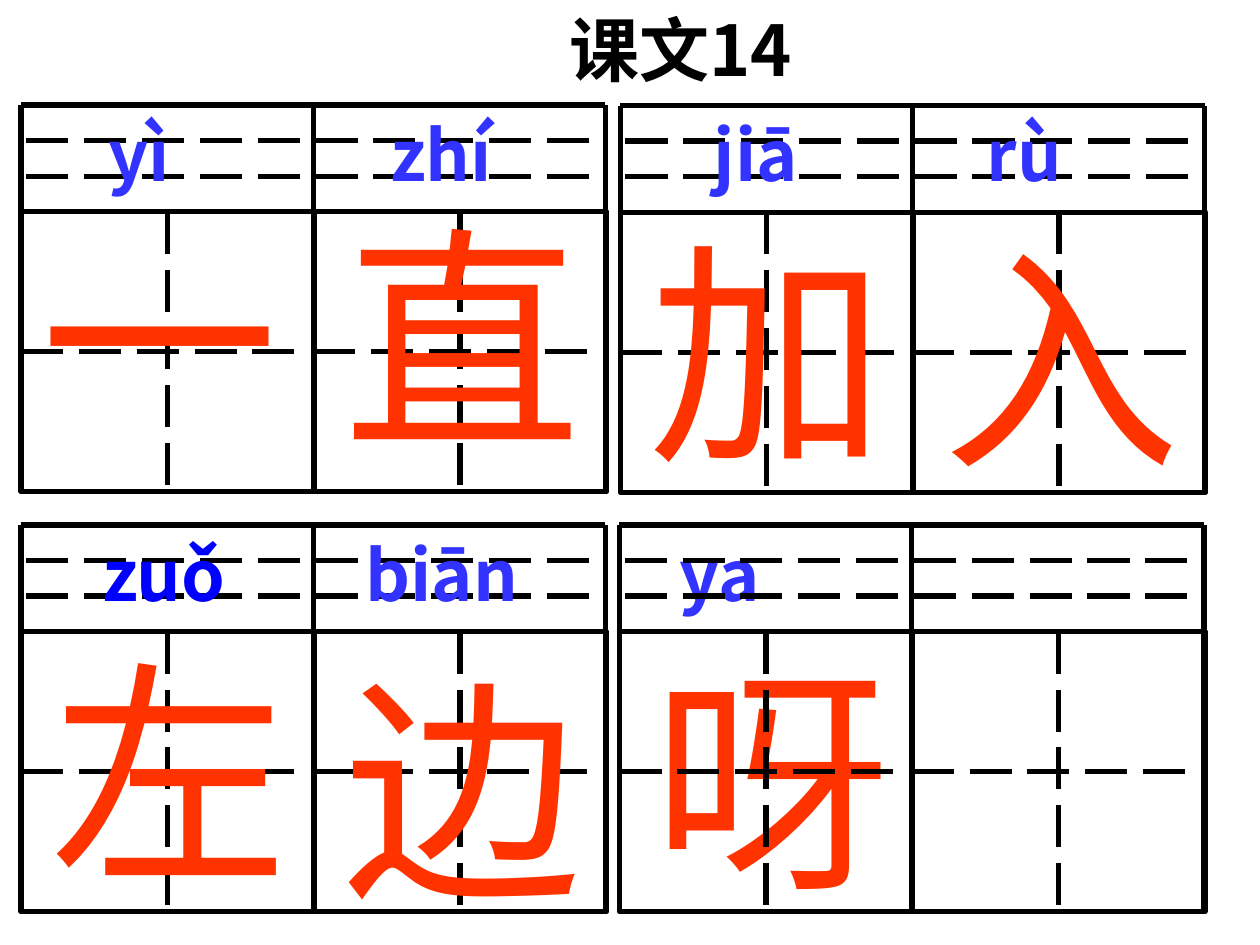
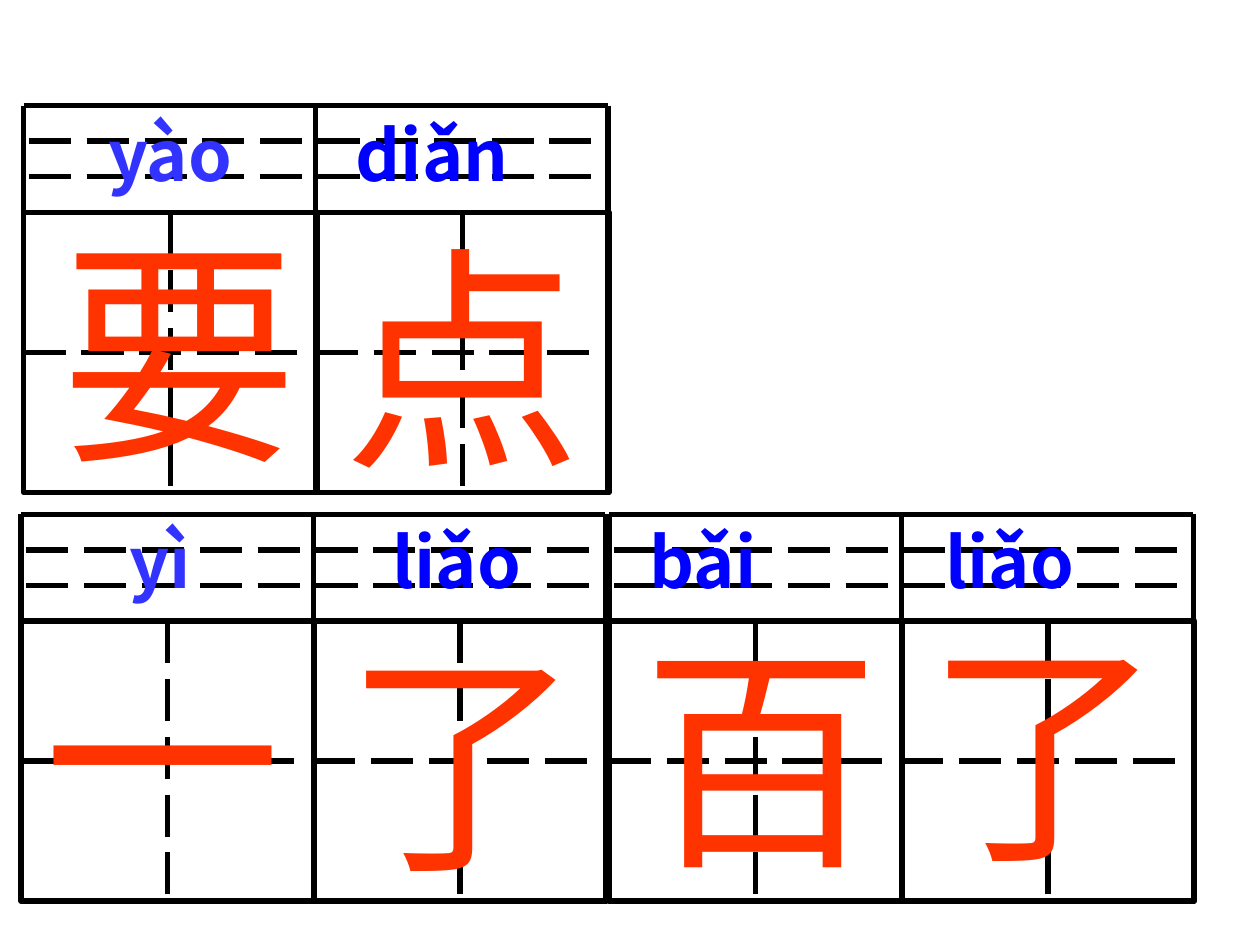
from lxml import etree
from pptx import Presentation
from pptx.dml.color import RGBColor
from pptx.enum.dml import MSO_LINE
from pptx.enum.shapes import MSO_CONNECTOR, MSO_SHAPE
from pptx.enum.text import MSO_ANCHOR, MSO_AUTO_SIZE, PP_ALIGN
from pptx.oxml.ns import qn
from pptx.util import Pt

STRAIGHT = MSO_CONNECTOR.STRAIGHT
RECTANGLE = MSO_SHAPE.RECTANGLE
DASH = MSO_LINE.LONG_DASH
LEFT = PP_ALIGN.LEFT
TOP = MSO_ANCHOR.TOP
GROW = MSO_AUTO_SIZE.SHAPE_TO_FIT_TEXT

CJK, ARIAL = "Noto Sans CJK SC", "Arial"
THEME = {
    "ink": RGBColor(0x00, 0x00, 0x00),
    "violet": RGBColor(0x33, 0x33, 0xFF),
    "blue": RGBColor(0x00, 0x00, 0xFF),
    "red": RGBColor(0xFF, 0x33, 0x00),
    "rule": Pt(3),
    "label": {"size": Pt(40), "bold": True},
    "character": {"size": Pt(136), "bold": False},
}
FRAME = {
    "word_wrap": True,
    "auto_size": GROW,
    "vertical_anchor": TOP,
    "margin_left": Pt(7.2),
    "margin_right": Pt(7.2),
    "margin_top": Pt(3.6),
    "margin_bottom": Pt(3.6),
}
CELL_WIDTH, CELL_HEIGHT = 167, 160
PINYIN_HEIGHT = 61
GRID_WIDTH, GRID_HEIGHT = 2 * CELL_WIDTH, PINYIN_HEIGHT + CELL_HEIGHT

LESSON = [
    {
        "title": "课文14",
        "bands": [
            {
                "grids": [(12, 60), (354.4, 60.3)],
                "front_grids": [],
                "pinyin_box": (0, 60, 717, 55.4),
                "pinyin": [(62, "yì", "violet"), (223, "zhí", "violet"),
                           (408, "jiā", "violet"), (564, "rù", "violet")],
                "characters": [(15.8, 105.8, "一", CJK), (189.4, 105.8, "直", CJK),
                               (363.6, 113.8, "加", ARIAL), (531.4, 117.4, "入", ARIAL)],
            },
            {
                "grids": [(12, 300)],
                "front_grids": [(354, 300)],
                "pinyin_box": (-12, 300, 690, 55.4),
                "pinyin": [(58.5, "zuǒ", "blue"), (209, "biān", "violet"),
                           (388.5, "ya", "violet")],
                "characters": [(21.6, 354.2, "左", ARIAL), (189.4, 363.6, "边", ARIAL),
                               (365.8, 357.8, "呀", ARIAL)],
            },
        ],
    },
    {
        "title": None,
        "bands": [
            {
                "grids": [(13.5, 60.3)],
                "front_grids": [],
                "pinyin_box": (8.6, 60, 717, 55.4),
                "pinyin": [(62, "yào", "violet"), (203.5, "diǎn", "blue")],
                "characters": [(27.4, 113.8, "要", ARIAL), (189.4, 117.4, "点", ARIAL)],
            },
            {
                "grids": [(12, 293.9), (348, 293.9)],
                "front_grids": [],
                "pinyin_box": (-6, 293, 717, 103.7),
                "pinyin": [(74, "yì", "violet"), (224.5, "liǎo", "blue"),
                           (371.5, "bǎi", "blue"), (540.5, "liǎo", "blue")],
                "characters": [(18, 345.6, "一", ARIAL), (189.4, 347.8, "了", ARIAL),
                               (360, 345.6, "百", ARIAL), (522, 342, "了", ARIAL)],
            },
        ],
    },
]


def write(box, spans, look, face, stops=()):
    for name, value in FRAME.items():
        setattr(box.text_frame, name, value)
    para = box.text_frame.paragraphs[0]
    para.alignment = LEFT
    if stops:
        tabs = etree.SubElement(para._p.get_or_add_pPr(), qn("a:tabLst"))
        for stop in stops:
            etree.SubElement(tabs, qn("a:tab"), pos=str(int(Pt(stop))), algn="l")
    for text, colour in spans:
        span = para.add_run()
        span.text = text
        for name, value in {**THEME[look], "name": face}.items():
            setattr(span.font, name, value)
        span.font.color.rgb = THEME[colour]
        east_asian = etree.SubElement(span._r.get_or_add_rPr(), qn("a:ea"))
        east_asian.set("typeface", CJK)


def draw_grid(page, left, top):
    group = page.shapes.add_group_shape()
    right, bottom = left + GRID_WIDTH, top + GRID_HEIGHT
    cell_top = top + PINYIN_HEIGHT
    middle = cell_top + CELL_HEIGHT / 2
    rules = [(left, top, right, top, None, None)]
    for third in (1, 2):
        height = top + PINYIN_HEIGHT * third / 3
        rules.append((left + 3, height, right, height, DASH, None))
    for column in range(2):
        cell_left = left + column * CELL_WIDTH
        centre = cell_left + CELL_WIDTH / 2
        cell = group.shapes.add_shape(RECTANGLE, Pt(cell_left), Pt(cell_top),
                                      Pt(CELL_WIDTH + 0.6), Pt(CELL_HEIGHT))
        cell.shadow.inherit = False
        cell.fill.background()
        cell.line.color.rgb = THEME["ink"]
        cell.line.width = THEME["rule"]
        rules += [
            (centre, cell_top, centre, bottom, DASH, (cell, 0, 2)),
            (cell_left, middle, cell_left + CELL_WIDTH - 3, middle, DASH, (cell, 1, None)),
        ]
    for column in range(3):
        edge = left + column * CELL_WIDTH
        rules.append((edge, top, edge, bottom, None, None))
    for x1, y1, x2, y2, dash, joint in rules:
        line = group.shapes.add_connector(STRAIGHT, Pt(x1), Pt(y1), Pt(x2), Pt(y2))
        line.line.color.rgb = THEME["ink"]
        line.line.width = THEME["rule"]
        if dash:
            line.line.dash_style = dash
        etree.SubElement(line._element.spPr, qn("a:effectLst"))
        if joint:
            cell, start, end = joint
            line.begin_connect(cell, start)
            if end is not None:
                line.end_connect(cell, end)


deck = Presentation()
deck.slide_width, deck.slide_height = Pt(720), Pt(540)

for content in LESSON:
    page = deck.slides.add_slide(deck.slide_layouts[5 if content["title"] else 6])
    if content["title"]:
        title = page.shapes.title
        place = {"left": Pt(318.2), "top": Pt(0), "width": Pt(181.4), "height": Pt(55.4)}
        for name, value in place.items():
            setattr(title, name, value)
        write(title, [(content["title"], "ink")], "label", CJK)

    for band in content["bands"]:
        for left, top in band["grids"]:
            draw_grid(page, left, top)

        for left, top, character, face in band["characters"]:
            box = page.shapes.add_textbox(Pt(left), Pt(top), Pt(164.2), Pt(170.6))
            write(box, [(character, "red")], "character", face)

        box = page.shapes.add_textbox(*map(Pt, band["pinyin_box"]))
        text_left = band["pinyin_box"][0] + 7.2
        stops = [start - text_left for start, _, _ in band["pinyin"]]
        spans = [("\t" + syllable, colour) for _, syllable, colour in band["pinyin"]]
        write(box, spans, "label", CJK, stops)

        for left, top in band["front_grids"]:
            draw_grid(page, left, top)

deck.save("out.pptx")
